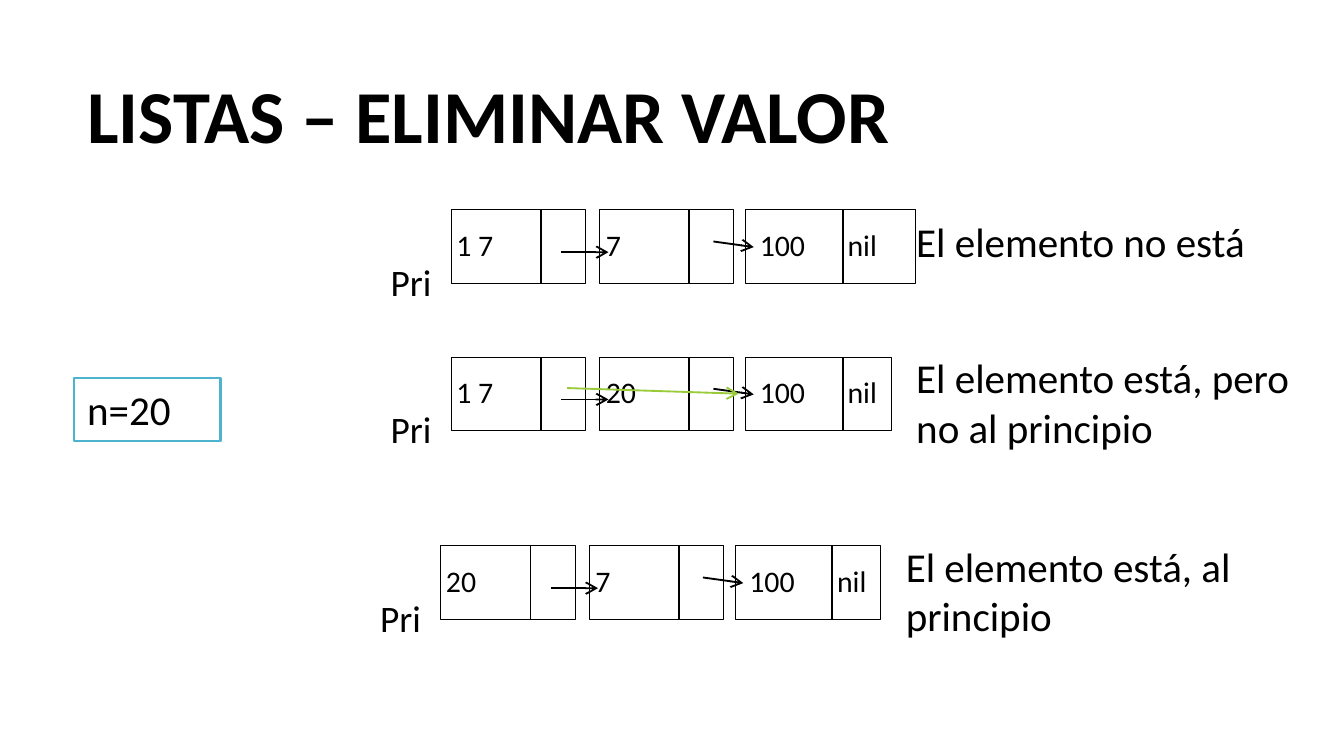
from lxml.etree import SubElement
from pptx import Presentation
from pptx.dml.color import RGBColor
from pptx.enum.shapes import MSO_CONNECTOR, MSO_SHAPE
from pptx.enum.text import MSO_ANCHOR, PP_ALIGN
from pptx.oxml.ns import qn
from pptx.util import Pt

BLACK = RGBColor(0x00, 0x00, 0x00)
WHITE = RGBColor(0xFF, 0xFF, 0xFF)
BLUE = RGBColor(0x4E, 0xB3, 0xCF)
GREEN = RGBColor(0x99, 0xCB, 0x38)

NODE_HEIGHT = 39.4
NODE_LEFTS = (0, 79.4, 157.7)
DIVIDERS = (48, 48, 52)
VALUE_BOXES = ((-22.3, 62, 25), (50.4, 73.4, 32.4), (154.1, 50.4, 11.2))


def write(shape, text, size, inset=7.2, bold=False):
    """Put one left-aligned paragraph in a shape and return it."""
    frame = shape.text_frame
    frame.word_wrap = True
    frame.vertical_anchor = MSO_ANCHOR.TOP
    frame.margin_left = Pt(inset)
    para = frame.paragraphs[0]
    para.text = text
    para.alignment = PP_ALIGN.LEFT
    para.font.name = "Calibri"
    para.font.size = Pt(size)
    para.font.bold = bold
    para.font.color.rgb = BLACK
    return para


def add_label(page, left, top, width, height, text, size, inset=7.2):
    """Add a text box holding one paragraph."""
    box = page.shapes.add_textbox(Pt(left), Pt(top), Pt(width), Pt(height))
    write(box, text, size, inset)


def add_rectangle(page, left, top, width, height, color, weight):
    """Add an unfilled, outlined rectangle."""
    box = page.shapes.add_shape(MSO_SHAPE.RECTANGLE, Pt(left), Pt(top), Pt(width), Pt(height))
    box.shadow.inherit = False
    box.fill.background()
    box.line.color.rgb = color
    box.line.width = Pt(weight)
    return box


def add_line(page, start, end, color=BLACK, arrow=True):
    """Add a straight line, with an open arrowhead at its end if asked."""
    line = page.shapes.add_connector(
        MSO_CONNECTOR.STRAIGHT, Pt(start[0]), Pt(start[1]), Pt(end[0]), Pt(end[1])
    )
    line.line.color.rgb = color
    line.line.width = Pt(1)
    if arrow:
        SubElement(line.line._get_or_add_ln(), qn("a:tailEnd"), type="arrow")
    SubElement(line._element.spPr, qn("a:effectLst"))


def add_title(page, left, top, width, height):
    """Add the slide title, set on the bottom of its box."""
    box = page.shapes.add_textbox(Pt(left), Pt(top), Pt(width), Pt(height))
    para = write(box, "LISTAS – ELIMINAR VALOR", 40, bold=True)
    para.line_spacing = 0.85
    box.text_frame.vertical_anchor = MSO_ANCHOR.BOTTOM


def add_target(page, left, top, width, height):
    """Add the framed value to be deleted."""
    box = add_rectangle(page, left, top, width, height, BLUE, 1.25)
    box.fill.solid()
    box.fill.fore_color.rgb = WHITE
    write(box, "n=20", 22)


def add_list(page, left, top, values, caption, last_width=78, caption_rise=5.8,
             caption_height=60.5, bypass=False):
    """Draw a linked list of three nodes with its head label and caption."""
    for offset, divider, width in zip(NODE_LEFTS, DIVIDERS, (72, 72, last_width)):
        add_rectangle(page, left + offset, top, width, NODE_HEIGHT, BLACK, 0.5)
        x = left + offset + divider
        add_line(page, (x, top), (x, top + NODE_HEIGHT), arrow=False)
    for value, (offset, width, inset) in zip(values, VALUE_BOXES):
        add_label(page, left + offset, top + 5.4, width, 28, value, 16, inset)
    add_label(page, left + 205.2, top + 5.4, 38.2, 28, "nil", 16)
    add_line(page, (left + 59, top + 22.7), (left + 84.2, top + 22.7))
    add_line(page, (left + 140.4, top + 17), (left + 162, top + 20))
    if bypass:
        add_line(page, (left + 62, top + 16.6), (left + 154, top + 19.6), GREEN)
    add_label(page, left - 39.6, top + 22.8, 44.8, 39.6, "Pri", 20)
    add_label(page, left + 242, top - caption_rise, 225, caption_height, caption, 22)


def main():
    """Build the slide and save it."""
    deck = Presentation()
    deck.slide_width, deck.slide_height = Pt(720), Pt(405)
    page = deck.slides.add_slide(deck.slide_layouts[6])
    add_title(page, 39.6, 9.4, 672, 79.2)
    add_target(page, 39.6, 202.4, 78.6, 34)
    add_list(page, 241.8, 112.4, ("1 7", "7", "100"), "El elemento no está",
             last_width=90.8, caption_rise=0, caption_height=34)
    add_list(page, 241.8, 191.3, ("1 7", "20", "100"),
             "El elemento está, pero no al principio", bypass=True)
    add_list(page, 236.2, 292.4, ("20", "7", "100"), "El elemento está, al principio")
    deck.save("out.pptx")


if __name__ == "__main__":
    main()
